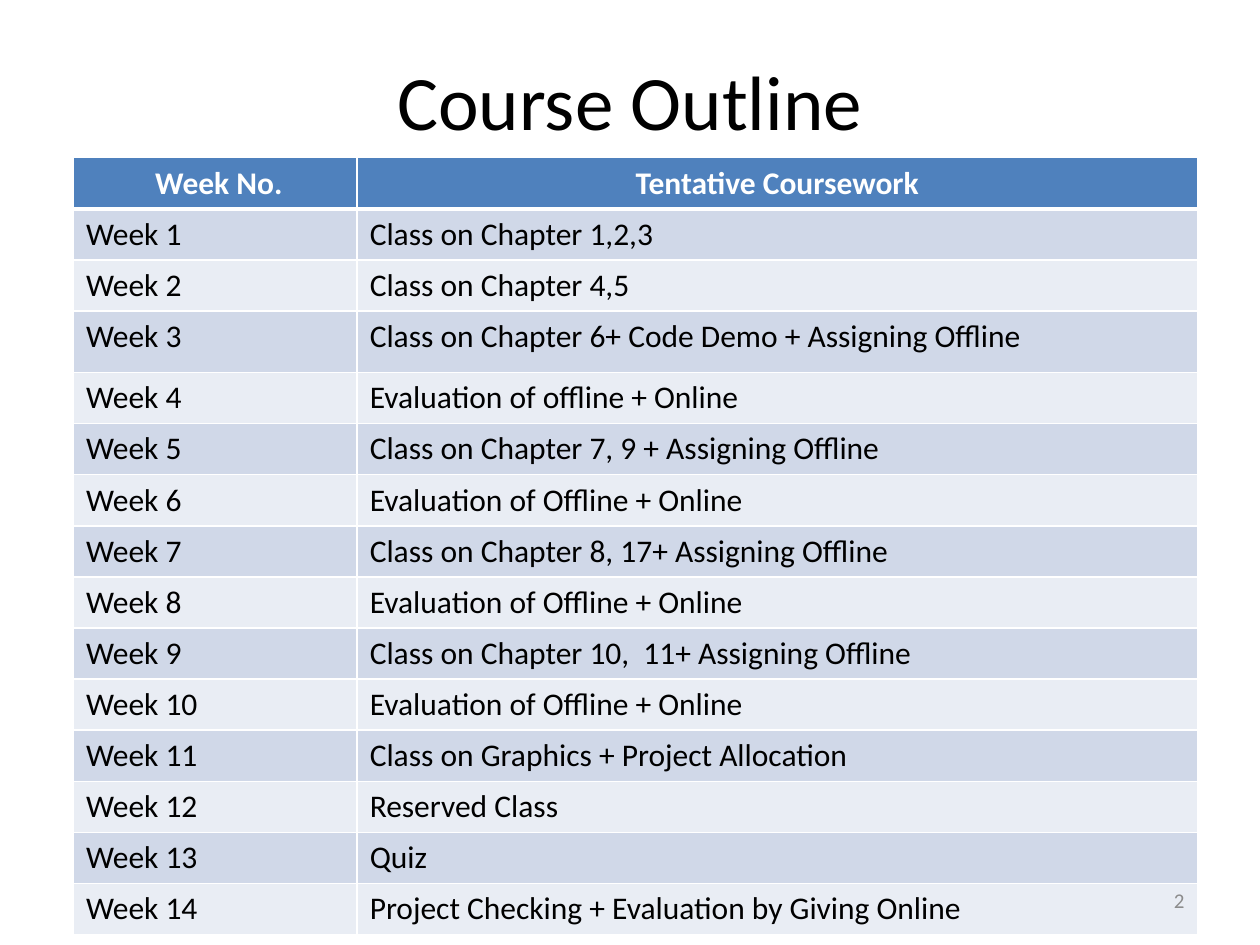
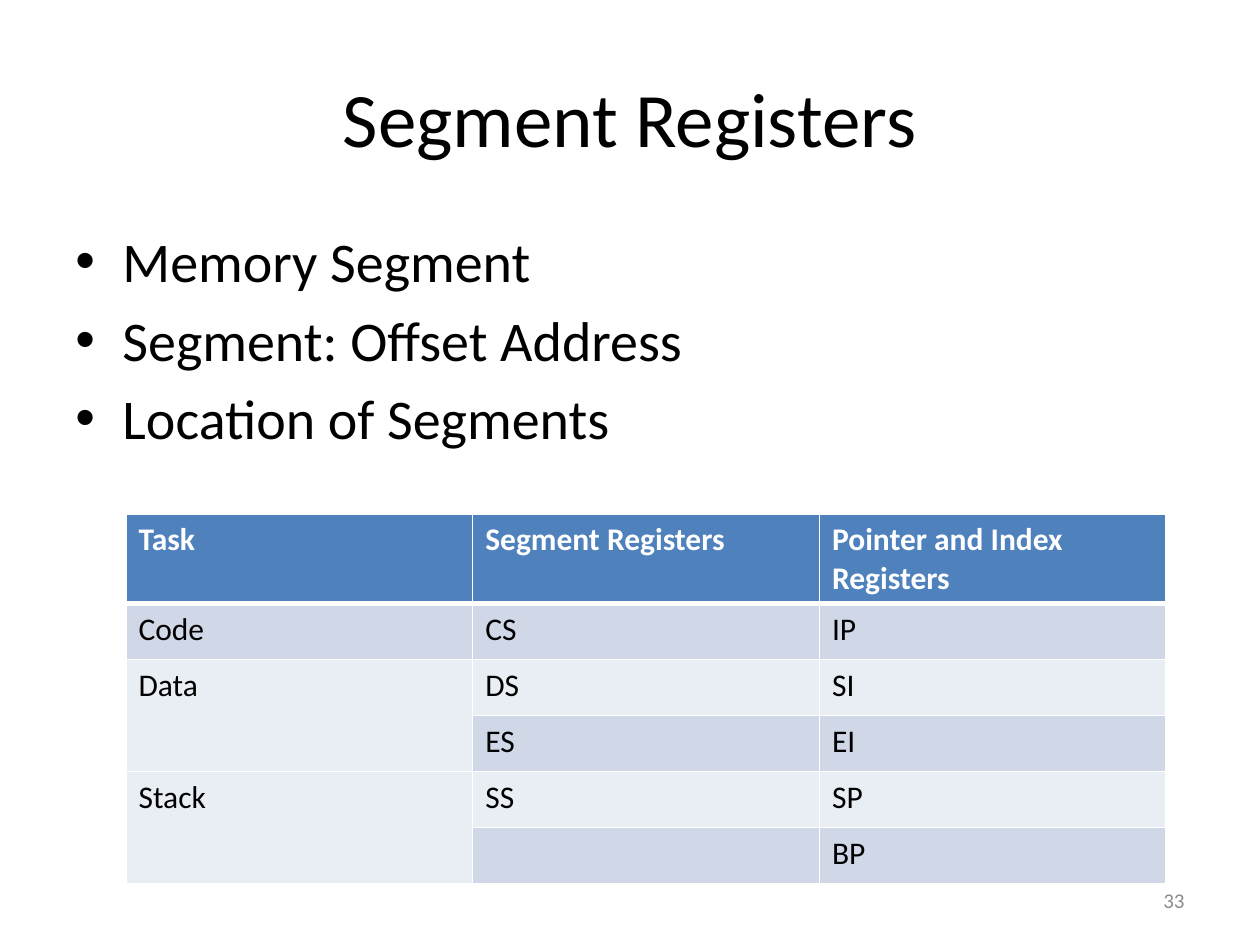
from dataclasses import dataclass

from lxml import etree
from pptx import Presentation
from pptx.dml.color import RGBColor
from pptx.enum.text import MSO_ANCHOR, PP_ALIGN
from pptx.oxml.ns import qn
from pptx.util import Cm, Pt

LEFT, CENTER, RIGHT = PP_ALIGN.LEFT, PP_ALIGN.CENTER, PP_ALIGN.RIGHT
TOP, MIDDLE = MSO_ANCHOR.TOP, MSO_ANCHOR.MIDDLE


@dataclass(frozen=True)
class Theme:
    font: str = "Calibri"
    text: str = "000000"
    header_text: str = "FFFFFF"
    header_fill: str = "4F81BD"
    bands: tuple = ("D0D8E8", "E9EDF4")
    border: str = "FFFFFF"
    number: str = "8C8C8C"
    title_size: int = 44
    bullet_size: int = 32
    table_size: int = 18
    number_size: int = 12
    border_width: int = 1
    header_rule: int = 3


THEME = Theme()

# Content; None in a table continues the cell above it
EVALUATION = "Evaluation of Offline + Online"
COURSEWORK = [
    "Class on Chapter 1,2,3",
    "Class on Chapter 4,5",
    "Class on Chapter 6+ Code Demo + Assigning Offline",
    "Evaluation of offline + Online",
    "Class on Chapter 7, 9 + Assigning Offline",
    EVALUATION,
    "Class on Chapter 8, 17+ Assigning Offline",
    EVALUATION,
    "Class on Chapter 10,  11+ Assigning Offline",
    EVALUATION,
    "Class on Graphics + Project Allocation",
    "Reserved Class",
    "Quiz",
    "Project Checking + Evaluation by Giving Online",
]
OUTLINE = [(" Week No.", "Tentative Coursework")] + [
    (f"Week {week}", work) for week, work in enumerate(COURSEWORK, 1)
]
TOPICS = ["Memory Segment", "Segment: Offset Address", "Location of Segments"]
REGISTERS = [
    ("Task", "Segment Registers", "Pointer and Index Registers"),
    ("Code", "CS", "IP"),
    ("Data", "DS", "SI"),
    (None, "ES", "EI"),
    ("Stack", "SS", "SP"),
    (None, "", "BP"),
]

# Row heights in centimetres
OUTLINE_HEIGHTS = [1.03] * len(OUTLINE)
OUTLINE_HEIGHTS[3] = 1.24
REGISTER_HEIGHTS = [1.8] + [1.13] * (len(REGISTERS) - 1)


def add_run(paragraph, text, size, color, bold=False):
    run = paragraph.add_run()
    run.text = text
    run.font.name = THEME.font
    run.font.size = Pt(size)
    run.font.bold = bold
    run.font.color.rgb = RGBColor.from_string(color)


def add_text(slide, box, lines, size, color, align=LEFT, anchor=MIDDLE):
    shape = slide.shapes.add_textbox(*(Cm(length) for length in box))
    frame = shape.text_frame
    frame.word_wrap = True
    frame.vertical_anchor = anchor
    for index, line in enumerate(lines):
        paragraph = frame.add_paragraph() if index else frame.paragraphs[0]
        paragraph.alignment = align
        add_run(paragraph, line, size, color)
    return frame


def add_bullets(slide, box, lines):
    frame = add_text(slide, box, lines, THEME.bullet_size, THEME.text, anchor=TOP)
    indent = Cm(0.95)
    for paragraph in frame.paragraphs:
        paragraph.space_before = Pt(THEME.bullet_size * 0.2)
        properties = paragraph._p.get_or_add_pPr()
        properties.set("marL", str(indent))
        properties.set("indent", str(-indent))
        etree.SubElement(properties, qn("a:buFont"), typeface="Arial")
        etree.SubElement(properties, qn("a:buChar"), char="•")


def add_borders(cell, row):
    widths = {"L": THEME.border_width, "R": THEME.border_width,
              "T": THEME.header_rule if row == 1 else THEME.border_width,
              "B": THEME.header_rule if row == 0 else THEME.border_width}
    properties = cell._tc.get_or_add_tcPr()
    for side, width in widths.items():
        line = etree.SubElement(properties, qn(f"a:ln{side}"), w=str(Pt(width)))
        fill = etree.SubElement(line, qn("a:solidFill"))
        etree.SubElement(fill, qn("a:srgbClr"), val=THEME.border)


def add_table(slide, left, top, widths, heights, rows, header_align=LEFT):
    table = slide.shapes.add_table(
        len(rows), len(widths), Cm(left), Cm(top), Cm(sum(widths)), Cm(sum(heights))
    ).table
    for column, width in zip(table.columns, widths):
        column.width = Cm(width)
    for row, (values, height) in enumerate(zip(rows, heights)):
        table.rows[row].height = Cm(height)
        is_header = row == 0
        for column, text in enumerate(values):
            cell = table.cell(row, column)
            add_borders(cell, row)
            cell.fill.solid()
            fill = THEME.header_fill if is_header else THEME.bands[(row - 1) % 2]
            cell.fill.fore_color.rgb = RGBColor.from_string(fill)
            if text is None:
                table.cell(row - 1, column).merge(cell)
            elif text:
                paragraph = cell.text_frame.paragraphs[0]
                paragraph.alignment = header_align if is_header else LEFT
                color = THEME.header_text if is_header else THEME.text
                add_run(paragraph, text, THEME.table_size, color, is_header)


def add_title(slide, title, top):
    add_text(slide, (1.27, top, 22.86, 3.18), [title],
             THEME.title_size, THEME.text, CENTER)


def add_number(slide, number):
    add_text(slide, (18.2, 17.65, 5.93, 1.01), [str(number)],
             THEME.number_size, THEME.number, RIGHT)


def main():
    presentation = Presentation()
    presentation.slide_width, presentation.slide_height = Cm(25.4), Cm(19.05)
    blank = presentation.slide_layouts[6]

    # Course outline
    slide = presentation.slides.add_slide(blank)
    add_title(slide, "Course Outline", 0.43)
    add_table(slide, 1.48, 3.18, [5.72, 16.94], OUTLINE_HEIGHTS, OUTLINE, CENTER)
    add_number(slide, 2)

    # Segment registers
    slide = presentation.slides.add_slide(blank)
    add_title(slide, "Segment Registers", 0.76)
    add_bullets(slide, (1.27, 4.45, 22.86, 12.57), TOPICS)
    add_table(slide, 2.54, 10.37, [6.99] * 3, REGISTER_HEIGHTS, REGISTERS)
    add_number(slide, 33)

    presentation.save("out.pptx")


if __name__ == "__main__":
    main()
